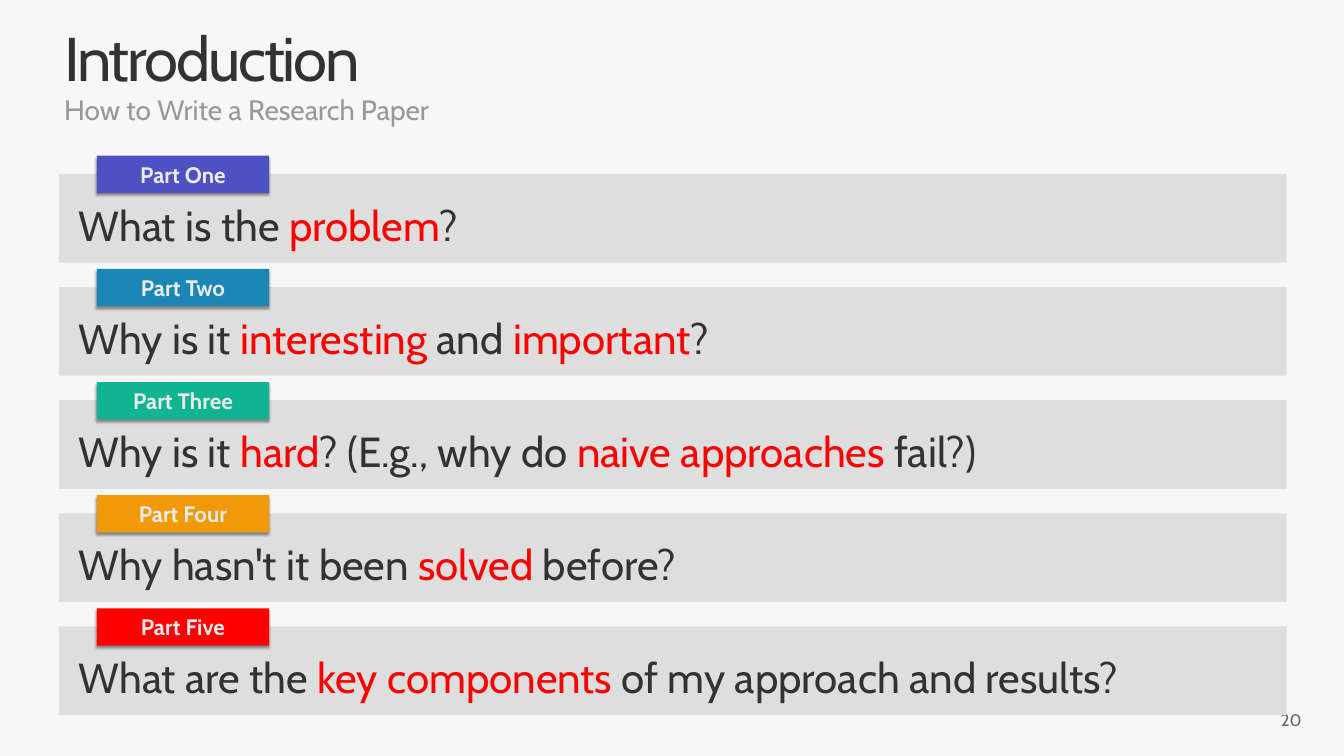
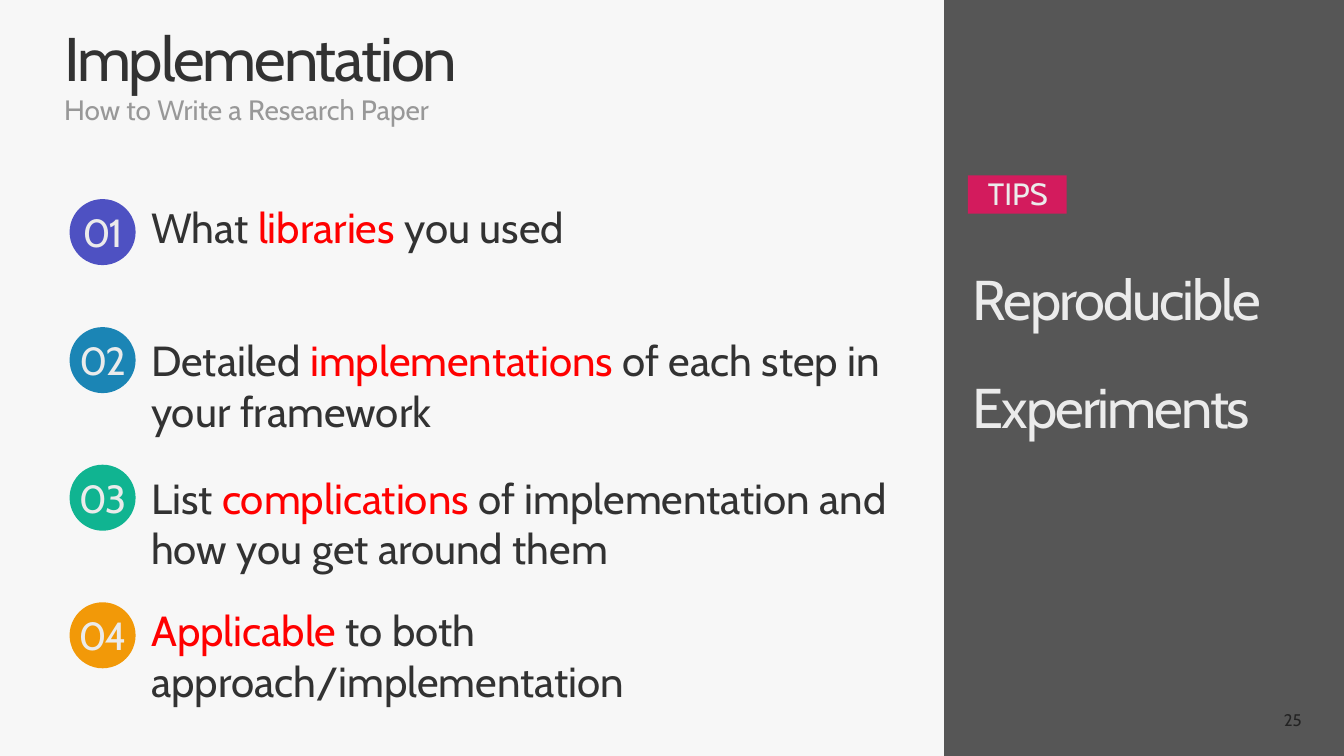
from dataclasses import dataclass

from lxml import etree
from pptx import Presentation
from pptx import util as u
from pptx.dml.color import RGBColor
from pptx.enum import shapes, text
from pptx.oxml import ns

SUBTITLE = "How to Write a Research Paper"
INTRODUCTION = {
    "title": "Introduction",
    "page": "20",
    "parts": [
        ("Part One", "What is the *problem*?"),
        ("Part Two", "Why is it *interesting* and *important*?"),
        ("Part Three", "Why is it *hard*? (E.g., why do *naive approaches *fail?)"),
        ("Part Four", "Why hasn't it been *solved* before?"),
        ("Part Five", "What are the *key components *of my approach and results?"),
    ],
}
IMPLEMENTATION = {
    "title": "Implementation",
    "page": "25",
    "steps": [
        (3.95, 3.95, 1.11, "What *libraries* you used"),
        (6.49, 6.59, 2.12, "Detailed *implementations* of each step in your framework"),
        (9.22, 9.32, 2.12, "List *complications* of implementation and how you get around them"),
        (11.95, 11.95, 2.12, "*Applicable* to both approach/implementation"),
    ],
    "tag": "TIPS",
    "tip": "Reproducible Experiments",
}


@dataclass(frozen=True)
class Theme:
    font: str = "Cabin"
    background: str = "F7F7F7"
    ink: str = "323232"
    muted: str = "989898"
    page: str = "656565"
    emphasis: str = "FF0000"
    light: str = "EBEBEB"
    bar: str = "DEDEDE"
    tag: str = "D31B5D"
    black: str = "000000"
    series: tuple = ("4E51C2", "1B85B5", "10B491", "F29908", "FF0000")
    title_size: int = 88
    tip_size: int = 80
    body_size: int = 60
    number_size: int = 56
    tag_size: int = 44
    subtitle_size: int = 40
    label_size: int = 32
    page_size: int = 24
    tight: int = -300


THEME = Theme()
LEFT, CONTENT_WIDTH = 1.17, 24.35
ALIGN, ANCHOR, FIT = text.PP_ALIGN, text.MSO_ANCHOR, text.MSO_AUTO_SIZE
SHAPE = shapes.MSO_SHAPE


def write(shape, content, size, color, align=ALIGN.LEFT, anchor=ANCHOR.TOP,
          insets=(0.1, 0.05, 0.1, 0.05), wrap=True, fit=FIT.NONE,
          line_spacing=None, tight=False, bold=False):
    frame = shape.text_frame
    frame.word_wrap = wrap
    frame.auto_size = fit
    frame.vertical_anchor = anchor
    (frame.margin_left, frame.margin_top,
     frame.margin_right, frame.margin_bottom) = map(u.Inches, insets)
    paragraph = frame.paragraphs[0]
    paragraph.alignment = align
    paragraph.space_before = u.Pt(0)
    if line_spacing:
        paragraph.line_spacing = line_spacing
    for index, piece in enumerate(content.split("*")):
        if not piece:
            continue
        run = paragraph.add_run()
        run.text = piece
        run.font.name = THEME.font
        run.font.size = u.Pt(size)
        run.font.bold = bold
        run.font.color.rgb = RGBColor.from_string(THEME.emphasis if index % 2 else color)
        if tight:
            run.font._element.set("spc", str(THEME.tight))
    return paragraph


def add_text(slide, box, content, size, color, **style):
    shape = slide.shapes.add_textbox(*map(u.Inches, box))
    write(shape, content, size, color, **style)


def add_block(slide, kind, box, color):
    shape = slide.shapes.add_shape(kind, *map(u.Inches, box))
    shape.shadow.inherit = False
    shape.fill.solid()
    shape.fill.fore_color.rgb = RGBColor.from_string(color)
    shape.line.fill.background()
    return shape


def color_element(parent, color, opacity):
    element = etree.SubElement(parent, ns.qn("a:srgbClr"), val=color)
    etree.SubElement(element, ns.qn("a:alpha"), val=str(opacity * 1000))


def add_shadow(shape):
    effects = shape._element.spPr.find(ns.qn("a:effectLst"))
    shadow = etree.SubElement(
        effects, ns.qn("a:outerShdw"), blurRad=str(u.Pt(4)), dist=str(u.Pt(3)),
        dir="5400000", algn="t", rotWithShape="0")
    color_element(shadow, THEME.black, 40)


def place(placeholder, box):
    (placeholder.left, placeholder.top,
     placeholder.width, placeholder.height) = map(u.Inches, box)


def add_slide(presentation, content):
    slide = presentation.slides.add_slide(presentation.slide_layouts[1])
    title, subtitle = slide.shapes.title, slide.placeholders[1]
    place(title, (LEFT, 0.45, CONTENT_WIDTH, 1.48))
    write(title, content["title"], THEME.title_size, THEME.ink,
          anchor=ANCHOR.BOTTOM, line_spacing=0.9, tight=True)
    place(subtitle, (LEFT, 1.86, CONTENT_WIDTH, 0.61))
    paragraph = write(subtitle, SUBTITLE, THEME.subtitle_size, THEME.muted, line_spacing=0.9)
    properties = paragraph._p.get_or_add_pPr()
    properties.set("marL", "0")
    properties.set("indent", "0")
    etree.SubElement(properties, ns.qn("a:buNone"))
    add_text(slide, (19.92, 13.89, 6, 0.8), content["page"], THEME.page_size,
             THEME.page, align=ALIGN.RIGHT, anchor=ANCHOR.MIDDLE)
    return slide


def build_introduction(presentation):
    slide = add_slide(presentation, INTRODUCTION)
    first_top, pitch = 3.45, 2.245
    for index, (label, question) in enumerate(INTRODUCTION["parts"]):
        top = first_top + index * pitch
        add_block(slide, SHAPE.RECTANGLE, (LEFT, top, CONTENT_WIDTH, 1.76), THEME.bar)
        add_text(slide, (1.46, top + 0.45, 23.65, 1.11), question,
                 THEME.body_size, THEME.ink, fit=FIT.SHAPE_TO_FIT_TEXT)
        tab = add_block(slide, SHAPE.RECTANGLE, (1.92, top - 0.36, 3.42, 0.74),
                        THEME.series[index])
        add_shadow(tab)
        write(tab, label, THEME.label_size, THEME.light, align=ALIGN.CENTER,
              insets=(0.2, 0.1, 0.2, 0.1), fit=FIT.SHAPE_TO_FIT_TEXT, bold=True)


def build_implementation(presentation):
    slide = add_slide(presentation, IMPLEMENTATION)
    for index, (circle_top, text_top, height, step) in enumerate(IMPLEMENTATION["steps"]):
        circle = add_block(slide, SHAPE.OVAL, (1.38, circle_top, 1.31, 1.31),
                           THEME.series[index])
        write(circle, f"{index + 1:02}", THEME.number_size, THEME.light,
              align=ALIGN.CENTER, anchor=ANCHOR.MIDDLE, insets=(0, 0, 0, 0),
              wrap=False, tight=True)
        add_text(slide, (2.9, text_top, 15.38, height), step,
                 THEME.body_size, THEME.ink, fit=FIT.SHAPE_TO_FIT_TEXT)
    panel = add_block(slide, SHAPE.RECTANGLE, (18.73, 0, 7.95, 15), THEME.black)
    fill = panel._element.spPr.find(ns.qn("a:solidFill"))
    fill.clear()
    color_element(fill, THEME.black, 65)
    add_text(slide, (19.2, 4.4, 7.01, 5.52), IMPLEMENTATION["tip"],
             THEME.tip_size, THEME.light, line_spacing=1.6, tight=True)
    tag = add_block(slide, SHAPE.RECTANGLE, (19.2, 3.48, 1.96, 0.76), THEME.tag)
    write(tag, IMPLEMENTATION["tag"], THEME.tag_size, THEME.light,
          align=ALIGN.CENTER, anchor=ANCHOR.MIDDLE, insets=(0.12, 0.12, 0.1, 0.05),
          fit=FIT.SHAPE_TO_FIT_TEXT, line_spacing=0.8)


def main():
    presentation = Presentation()
    presentation.slide_width = u.Inches(26.66)
    presentation.slide_height = u.Inches(15)
    background = presentation.slide_master.background.fill
    background.solid()
    background.fore_color.rgb = RGBColor.from_string(THEME.background)
    build_introduction(presentation)
    build_implementation(presentation)
    presentation.save("out.pptx")


if __name__ == "__main__":
    main()
